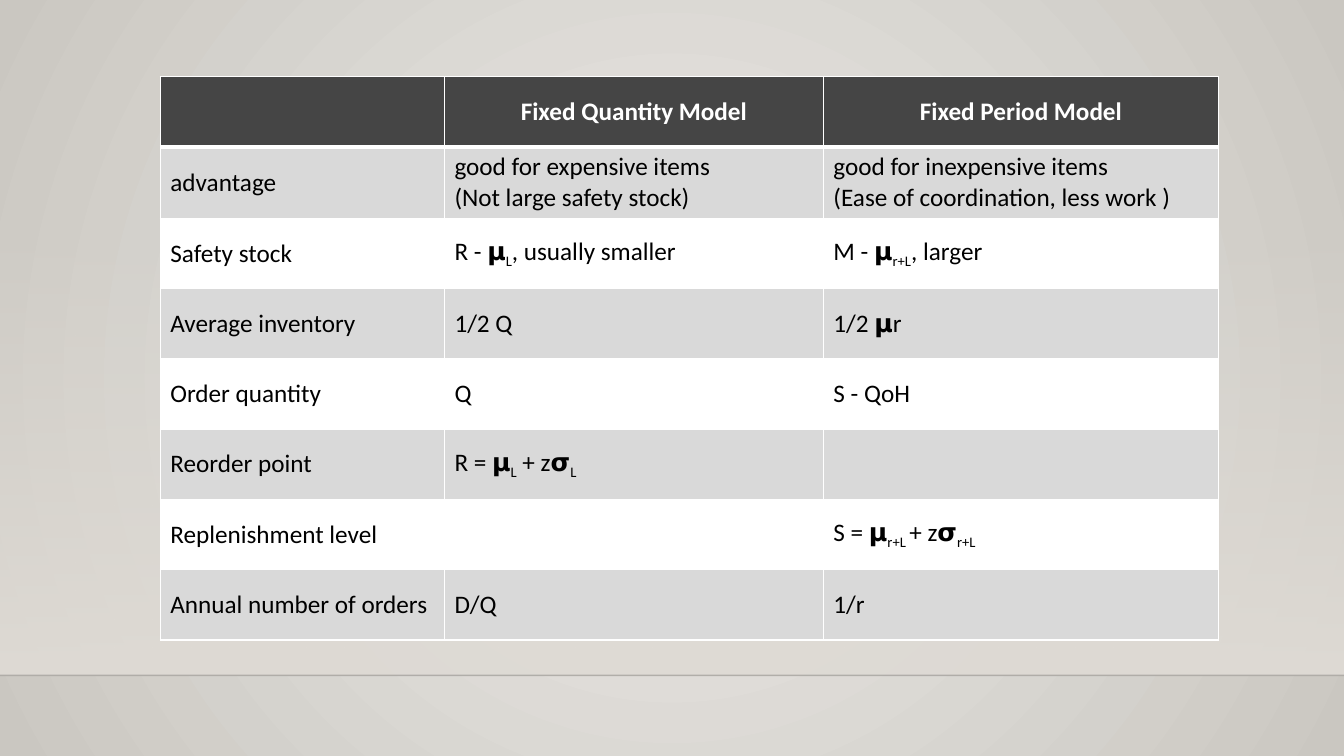
"""Build a slide with a table that compares two inventory models."""
from pptx import Presentation
from pptx.dml.color import RGBColor
from pptx.enum.shapes import MSO_CONNECTOR, MSO_SHAPE
from pptx.enum.text import MSO_ANCHOR, PP_ALIGN
from pptx.oxml import parse_xml
from pptx.oxml.ns import nsdecls, qn
from pptx.util import Cm, Pt

RECT = MSO_SHAPE.RECTANGLE
LINE = MSO_CONNECTOR.STRAIGHT
MID = MSO_ANCHOR.MIDDLE
LEFT, CENTER = PP_ALIGN.LEFT, PP_ALIGN.CENTER

WHITE = RGBColor(0xFF, 0xFF, 0xFF)
BLACK = RGBColor(0x00, 0x00, 0x00)
DARK = RGBColor(0x45, 0x45, 0x45)
GRAY = RGBColor(0xD9, 0xD9, 0xD9)
PALE = RGBColor(0xEC, 0xEA, 0xE7)
STONE = RGBColor(0xCA, 0xC7, 0xC1)
SAND = RGBColor(0xDF, 0xDB, 0xD5)

WIDE, HIGH = Cm(33.87), Cm(19.05)
FLOOR = Cm(17.02)
COLS = [7.16, 9.55, 9.96]
ROW = 1.77
ROWS = [
    ["", "Fixed Quantity Model", "Fixed Period Model"],
    ["advantage", "good for expensive items\n(Not large safety stock)",
     "good for inexpensive items\n(Ease of coordination, less work )"],
    ["Safety stock", "R - 𝝻|L|, usually smaller", "M - 𝝻|r+L|, larger"],
    ["Average inventory", "1/2 Q", "1/2 𝝻r"],
    ["Order quantity", "Q", "S - QoH"],
    ["Reorder point", "R = 𝝻|L| + z𝞂|L", ""],
    ["Replenishment level", "", "S = 𝝻|r+L |+ z𝞂|r+L"],
    ["Annual number of orders", "D/Q", "1/r"],
]


def write(frame, text, size=18, color=BLACK, bold=False, align=LEFT):
    """Fill a frame; parts between bars are subscripts."""
    for num, line in enumerate(text.split("\n")):
        para = frame.add_paragraph() if num else frame.paragraphs[0]
        para.alignment = align
        para.font.size = Pt(size)
        for spot, part in enumerate(line.split("|")):
            if not part:
                continue
            run = para.add_run()
            run.text = part
            font = run.font
            font.name, font.size, font.bold = "Calibri", Pt(size), bold
            font.color.rgb = color
            if spot % 2:
                run._r.get_or_add_rPr().set("baseline", "-25000")


def blend(old, stops, shade):
    """Put a gradient of (color, opacity) stops in place of a fill."""
    marks = "".join(
        f'<a:gs pos="{100000 * num}"><a:srgbClr val="{color}">'
        f'<a:alpha val="{alpha * 1000}"/></a:srgbClr></a:gs>'
        for num, (color, alpha) in enumerate(stops))
    new = parse_xml(f'<a:gradFill {nsdecls("a")} rotWithShape="1">'
                    f'<a:gsLst>{marks}</a:gsLst>{shade}</a:gradFill>')
    old.getparent().replace(old, new)


deck = Presentation()
deck.slide_width, deck.slide_height = WIDE, HIGH
slide = deck.slides.add_slide(deck.slide_layouts[6])

slide.background.fill.solid()
blend(slide.element.xpath(".//p:bgPr/a:solidFill")[0],
      [(PALE, 100), (STONE, 100)],
      '<a:path path="circle"><a:fillToRect l="50000" t="50000" '
      'r="50000" b="50000"/></a:path>')

wall = slide.shapes.add_shape(RECT, 0, Cm(5.61), WIDE, FLOOR - Cm(5.61))
wall.shadow.inherit = False
wall.line.fill.background()
wall.fill.solid()
blend(wall.element.spPr.find(qn("a:solidFill")),
      [(SAND, 0), (SAND, 100)], '<a:lin ang="5400000" scaled="0"/>')

edge = slide.shapes.add_connector(LINE, 0, FLOOR, WIDE, FLOOR)
edge.line.width = Pt(1)
edge.line.color.rgb = BLACK
tint = edge.element.spPr.find(".//" + qn("a:srgbClr"))
tint.append(parse_xml(f'<a:alpha {nsdecls("a")} val="20000"/>'))
edge.element.spPr.append(parse_xml(f'<a:effectLst {nsdecls("a")}/>'))

table = slide.shapes.add_table(
    len(ROWS), len(COLS), Cm(4.04), Cm(1.93),
    Cm(sum(COLS)), Cm(ROW * len(ROWS))).table
for col, width in zip(table.columns, COLS):
    col.width = Cm(width)

for r, row in enumerate(ROWS):
    table.rows[r].height = Cm(ROW)
    head = r == 0
    look = {"color": WHITE, "bold": True, "align": CENTER} if head else {}
    for c, text in enumerate(row):
        cell = table.cell(r, c)
        cell.vertical_anchor = MID
        cell.fill.solid()
        cell.fill.fore_color.rgb = DARK if head else GRAY if r % 2 else WHITE
        write(cell.text_frame, text, **look)
        for num, side in enumerate("LRTB"):
            thick = 3 if (r, side) in [(0, "B"), (1, "T")] else 1
            cell._tc.get_or_add_tcPr().insert(num, parse_xml(
                f'<a:ln{side} {nsdecls("a")} w="{Pt(thick)}"><a:solidFill>'
                f'<a:srgbClr val="{WHITE}"/></a:solidFill></a:ln{side}>'))

deck.save("out.pptx")
